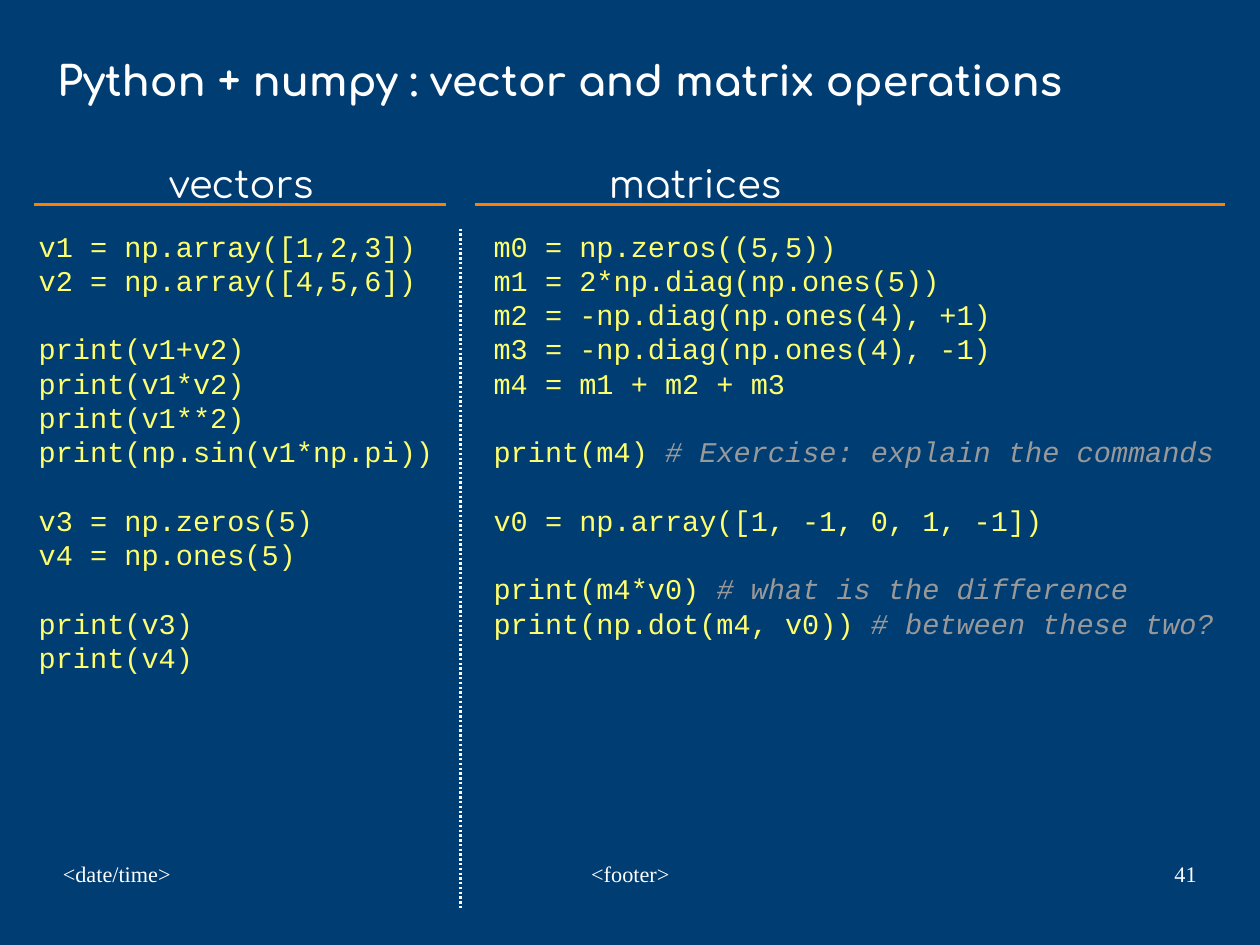
"""Build a slide on vector and matrix operations in Python and numpy."""
from lxml.etree import SubElement
from pptx import Presentation
from pptx.dml.color import RGBColor
from pptx.enum.dml import MSO_LINE
from pptx.enum.shapes import MSO_CONNECTOR
from pptx.enum.text import MSO_ANCHOR, PP_ALIGN
from pptx.oxml.ns import qn
from pptx.util import Inches, Pt

NAVY = RGBColor(0x00, 0x3D, 0x73)
WHITE = RGBColor(0xFF, 0xFF, 0xFF)
YELLOW = RGBColor(0xFF, 0xFF, 0x6D)
GRAY = RGBColor(0x99, 0x99, 0x99)
ORANGE = RGBColor(0xFF, 0x80, 0x00)
CODE_PITCH = Pt(21.6)
CM_PER_INCH = 2.54

VECTOR_CODE = [
    ["v1 = np.array([1,2,3])", "v2 = np.array([4,5,6])"],
    ["print(v1+v2)", "print(v1*v2)", "print(v1**2)", "print(np.sin(v1*np.pi))"],
    ["v3 = np.zeros(5)", "v4 = np.ones(5)"],
    ["print(v3)", "print(v4)"],
]
MATRIX_CODE = [
    ["m0 = np.zeros((5,5))", "m1 = 2*np.diag(np.ones(5))",
     "m2 = -np.diag(np.ones(4), +1)", "m3 = -np.diag(np.ones(4), -1)",
     "m4 = m1 + m2 + m3"],
    ["print(m4) # Exercise: explain the commands"],
    ["v0 = np.array([1, -1, 0, 1, -1])"],
    ["print(m4*v0) # what is the difference",
     "print(np.dot(m4, v0)) # between these two?"],
]


def style(font, name, size, color):
    font.name = name
    font.size = Pt(size)
    font.color.rgb = color


def add_box(left, top, width, height, wrap=False):
    box = page.shapes.add_textbox(Inches(left), Inches(top), Inches(width), Inches(height))
    box.text_frame.word_wrap = wrap
    return box.text_frame


deck = Presentation()
deck.slide_width, deck.slide_height = Inches(28 / CM_PER_INCH), Inches(21 / CM_PER_INCH)
page = deck.slides.add_slide(deck.slide_layouts[5])
page.background.fill.solid()
page.background.fill.fore_color.rgb = NAVY

title = page.shapes.title
title.left, title.top, title.width, title.height = map(Inches, (0.4, 0.43, 10.1, 0.68))
title.text_frame.text = "Python + numpy : vector and matrix operations"
title.text_frame.vertical_anchor = MSO_ANCHOR.TOP
title_para = title.text_frame.paragraphs[0]
title_para.alignment = PP_ALIGN.LEFT
style(title_para.runs[0].font, "Comfortaa", 26, WHITE)
title_para.runs[0].font.bold = True

for text, left, width, align in [
    ("<date/time>", 0.55, 2.57, PP_ALIGN.LEFT),
    ("<footer>", 3.77, 3.49, PP_ALIGN.CENTER),
    ("41", 7.9, 2.57, PP_ALIGN.RIGHT),
]:
    frame = add_box(left, 7.53, width, 0.57, wrap=True)
    frame.margin_left = frame.margin_right = frame.margin_top = frame.margin_bottom = 0
    frame.text = text
    frame.paragraphs[0].alignment = align
    style(frame.paragraphs[0].runs[0].font, "Times New Roman", 14, WHITE)

for text, left, width in [("vectors", 1.38, 1.95), ("matrices", 5.23, 2.27)]:
    frame = add_box(left, 1.35, width, 0.5)
    frame.text = text
    style(frame.paragraphs[0].runs[0].font, "Comfortaa", 24, WHITE)

for blocks, left, width in [(VECTOR_CODE, 0.24, 3.78), (MATRIX_CODE, 4.22, 6.68)]:
    frame = add_box(left, 1.95, width, 5.79)
    lines = [(line, block > 0 and row == 0)
             for block, rows in enumerate(blocks) for row, line in enumerate(rows)]
    frame.text = "\n".join(line for line, _ in lines)
    for para, (line, opens_block) in zip(frame.paragraphs, lines):
        para.line_spacing = CODE_PITCH
        if opens_block:
            para.space_before = CODE_PITCH
        code, mark, comment = line.partition("#")
        para.text = code
        style(para.runs[0].font, "Courier New", 18, YELLOW)
        if mark:
            span = para.add_run()
            span.text = mark + comment
            style(span.font, "Courier New", 18, GRAY)
            span.font.italic = True

for x1, y1, x2, y2, color, weight, dash in [
    (0.3, 1.79, 3.9, 1.79, ORANGE, 2.3, None),
    (4.16, 1.79, 10.72, 1.79, ORANGE, 2.3, None),
    (4.03, 2, 4.03, 7.94, WHITE, 1.5, MSO_LINE.ROUND_DOT),
]:
    rule = page.shapes.add_connector(
        MSO_CONNECTOR.STRAIGHT, Inches(x1), Inches(y1), Inches(x2), Inches(y2))
    rule.line.color.rgb = color
    rule.line.width = Pt(weight)
    rule.line.dash_style = dash
    SubElement(rule._element.spPr, qn("a:effectLst"))

deck.save("out.pptx")
